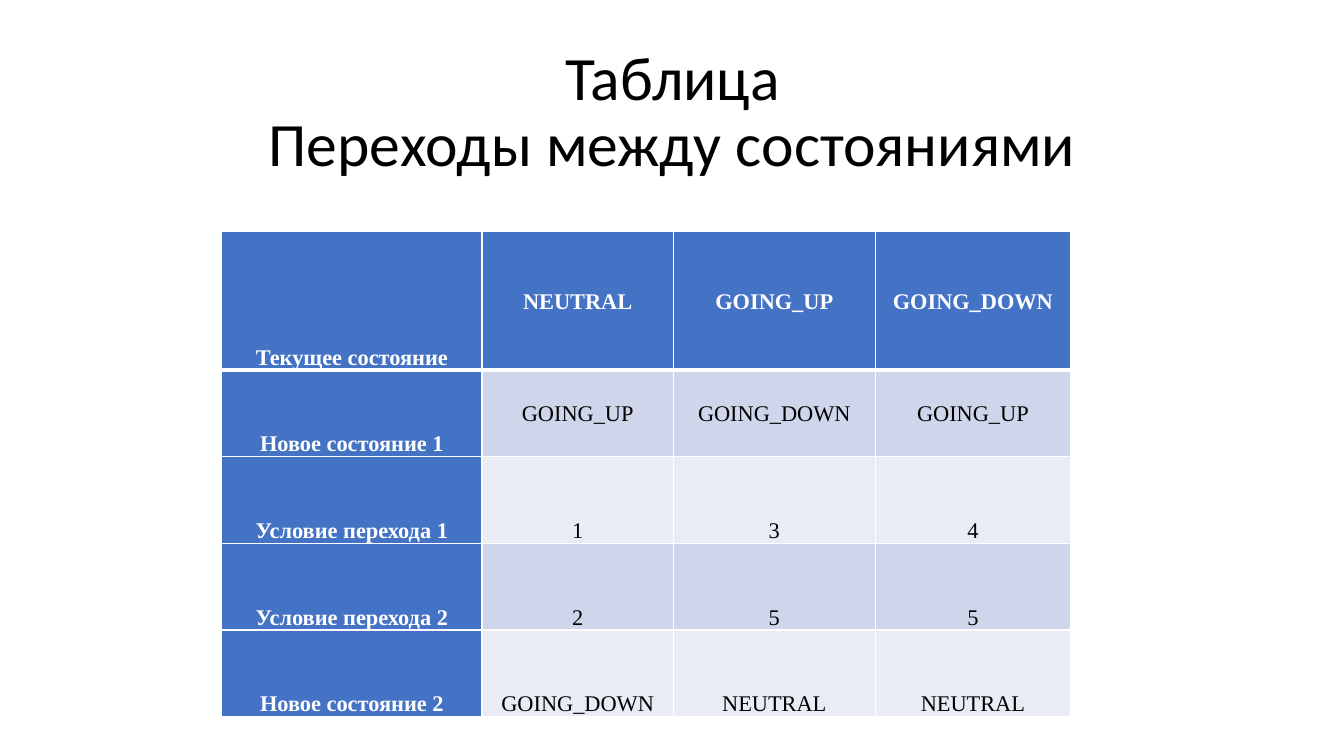
from lxml.etree import SubElement
from pptx import Presentation
from pptx.dml.color import RGBColor
from pptx.enum.text import MSO_ANCHOR, PP_ALIGN
from pptx.oxml.ns import qn
from pptx.util import Inches, Pt

WHITE, BLACK, HEADER = "FFFFFF", "000000", "4472C4"
BANDS = ["E9EBF5", "CFD5EA"]
COLUMN_WIDTHS = [2.58, 1.9, 2, 1.94]
ROW_HEIGHTS = [1.37] + [0.86] * 4
STATES = [
    ["Текущее состояние", "NEUTRAL", "GOING_UP", "GOING_DOWN"],
    ["Новое состояние 1", "GOING_UP", "GOING_DOWN", "GOING_UP"],
    ["Условие перехода 1", "1", "3", "4"],
    ["Условие перехода 2", "2", "5", "5"],
    ["Новое состояние 2", "GOING_DOWN", "NEUTRAL", "NEUTRAL"],
]


def color(value):
    return RGBColor.from_string(value)


def style_paragraph(para, font_name, size, font_color, spacing, bold=False):
    para.alignment = PP_ALIGN.CENTER
    para.line_spacing = spacing
    para.font.name = font_name
    para.font.size = Pt(size)
    para.font.bold = bold
    para.font.color.rgb = color(font_color)


def add_title(page, left, top, width, height):
    box = page.shapes.add_textbox(*map(Inches, (left, top, width, height)))
    frame = box.text_frame
    frame.word_wrap = True
    frame.vertical_anchor = MSO_ANCHOR.MIDDLE
    para = frame.paragraphs[0]
    para.text = "Таблица\vПереходы между состояниями"
    style_paragraph(para, "Calibri", 44, BLACK, 0.9)


def add_borders(cell, top, bottom):
    """Draw white cell borders; top and bottom are widths in points."""
    properties = cell._tc.get_or_add_tcPr()
    for side, width in (("L", 1), ("R", 1), ("T", top), ("B", bottom)):
        line = SubElement(properties, qn(f"a:ln{side}"), w=str(Pt(width)))
        fill = SubElement(line, qn("a:solidFill"))
        SubElement(fill, qn("a:srgbClr"), val=WHITE)


def fill_cell(cell, text, row, column):
    is_header = row == 0 or column == 0
    add_borders(cell, top=3 if row == 1 else 1, bottom=3 if row == 0 else 1)
    cell.fill.solid()
    cell.fill.fore_color.rgb = color(HEADER if is_header else BANDS[row % 2])
    cell.margin_left = cell.margin_right = Inches(0.07)
    cell.margin_top = cell.margin_bottom = 0
    is_middle = row < 2 and column > 0
    cell.vertical_anchor = MSO_ANCHOR.MIDDLE if is_middle else MSO_ANCHOR.BOTTOM
    para = cell.text_frame.paragraphs[0]
    para.text = text
    para.space_after = Pt(8)
    style_paragraph(para, "Times New Roman", 16,
                    WHITE if is_header else BLACK, 1.06, is_header)


def add_state_table(page, left, top):
    size = sum(COLUMN_WIDTHS), sum(ROW_HEIGHTS)
    frame = page.shapes.add_table(len(ROW_HEIGHTS), len(COLUMN_WIDTHS),
                                  *map(Inches, (left, top, *size)))
    table = frame.table
    table.first_col = True
    for column, width in zip(table.columns, COLUMN_WIDTHS):
        column.width = Inches(width)
    for row, height in zip(table.rows, ROW_HEIGHTS):
        row.height = Inches(height)
    for row, texts in enumerate(STATES):
        for column, text in enumerate(texts):
            fill_cell(table.cell(row, column), text, row, column)


def main():
    deck = Presentation()
    deck.slide_width, deck.slide_height = Inches(13.33), Inches(7.5)
    page = deck.slides.add_slide(deck.slide_layouts[6])
    add_title(page, 0.92, 0.4, 11.5, 1.45)
    add_state_table(page, 2.2, 2.3)
    deck.save("out.pptx")


if __name__ == "__main__":
    main()
